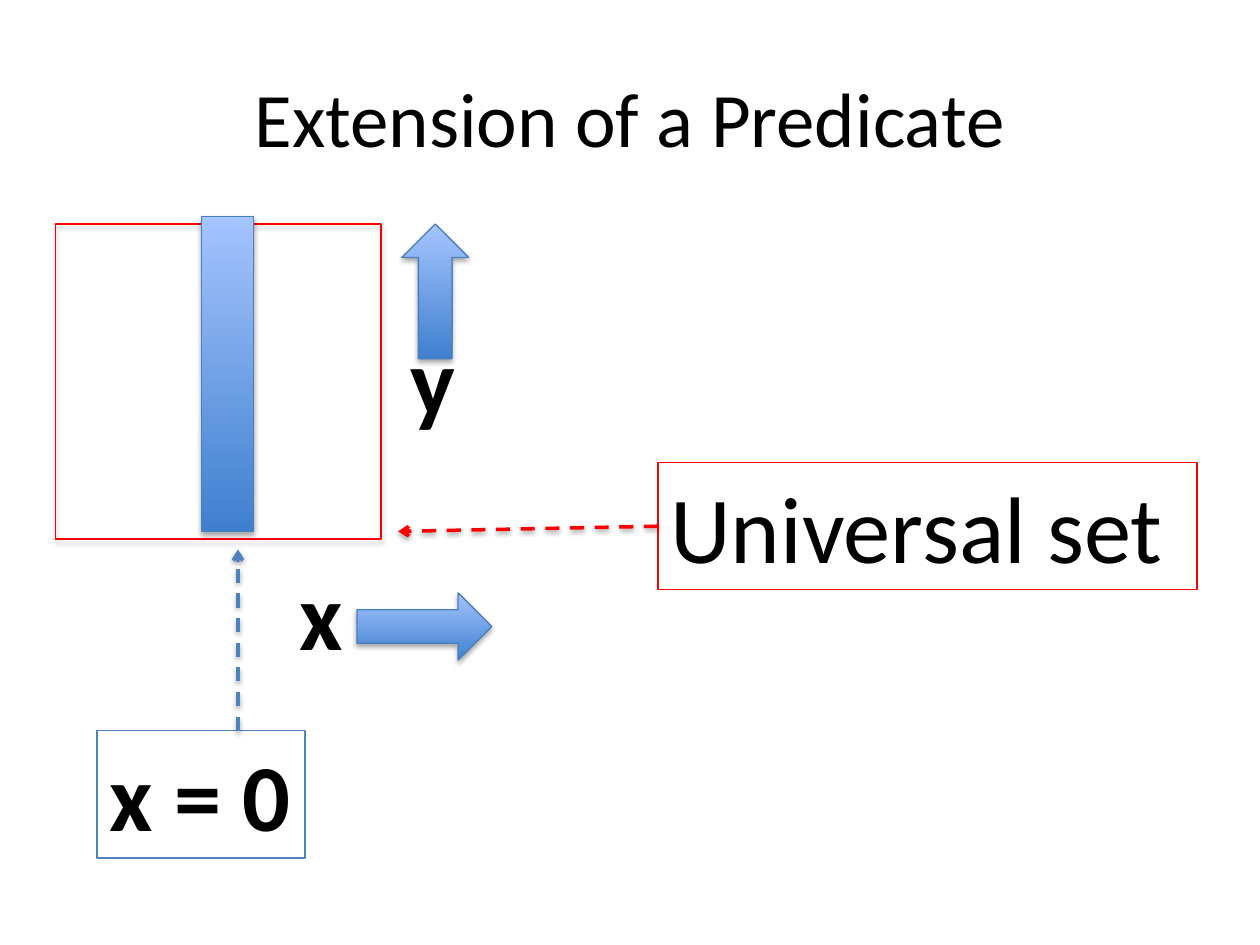
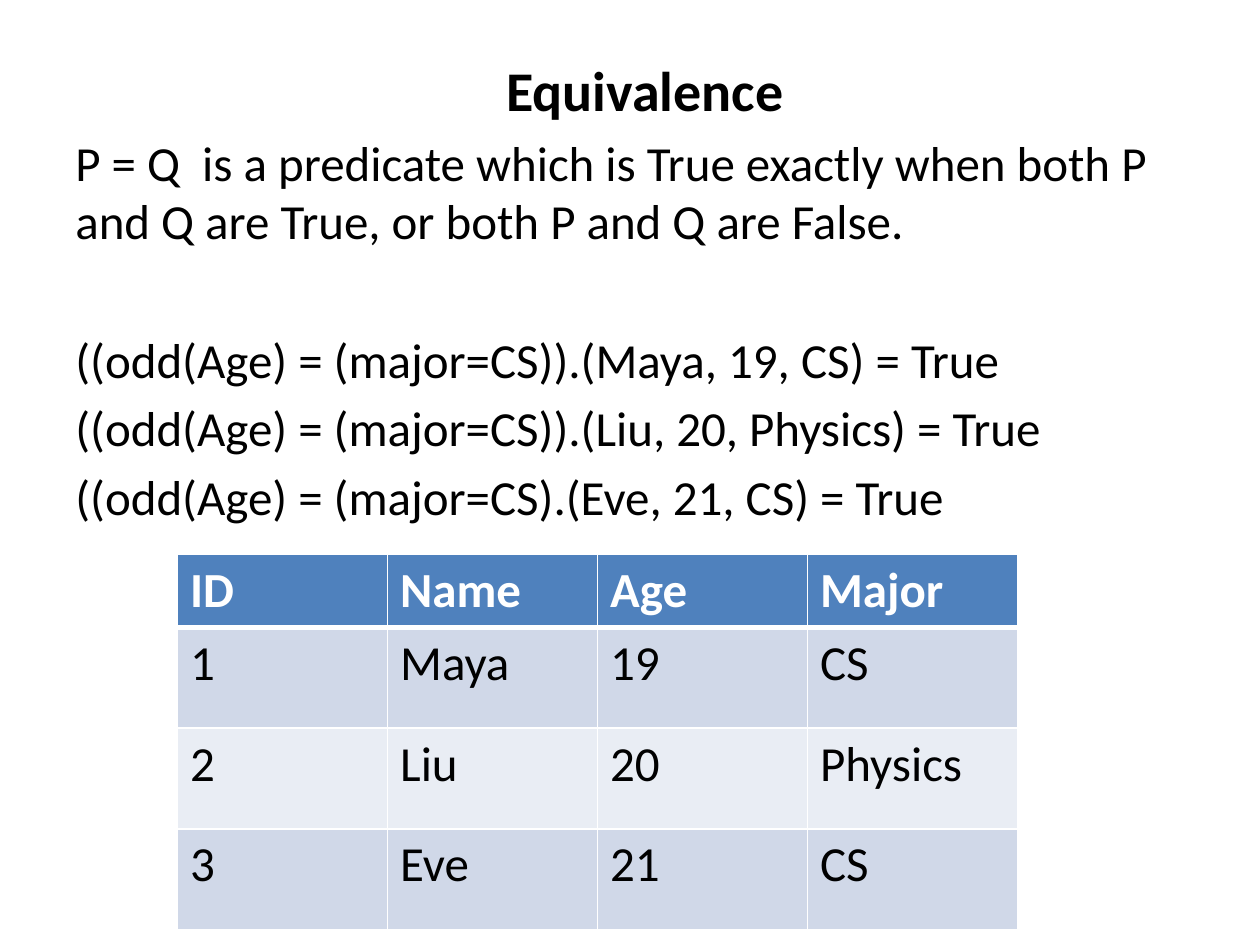
from dataclasses import dataclass
from typing import Optional

from lxml.etree import SubElement
from pptx import Presentation
from pptx.dml.color import RGBColor
from pptx.enum.dml import MSO_LINE
from pptx.enum.shapes import MSO_CONNECTOR, MSO_SHAPE
from pptx.enum.text import MSO_ANCHOR, PP_ALIGN
from pptx.oxml.ns import qn
from pptx.util import Pt

# Shared style
FONT = "Calibri"
BLACK = RGBColor(0x00, 0x00, 0x00)
WHITE = RGBColor(0xFF, 0xFF, 0xFF)
RED = RGBColor(0xFF, 0x00, 0x00)
BLUE = RGBColor(0x4F, 0x81, 0xBD)
EDGE_BLUE = RGBColor(0x4B, 0x7E, 0xBC)
DEEP_BLUE = RGBColor(0x3F, 0x80, 0xCE)
PALE_BLUE = RGBColor(0xA4, 0xC4, 0xFF)
BAND_DARK = RGBColor(0xD0, 0xD8, 0xE8)
BAND_LIGHT = RGBColor(0xE9, 0xED, 0xF4)
TITLE_ONLY = 5
LABEL_SIZE = 54
BODY_SIZE = 28
PARA_GAP = 5.6
LINE_HEIGHT = 34.2


@dataclass(frozen=True)
class Area:
    left: float
    top: float
    width: float
    height: float

    def lengths(self) -> tuple:
        return Pt(self.left), Pt(self.top), Pt(self.width), Pt(self.height)


@dataclass(frozen=True)
class Block:
    kind: MSO_SHAPE
    area: Area
    edge: RGBColor = EDGE_BLUE
    filled: bool = True


@dataclass(frozen=True)
class Label:
    text: str
    area: Area
    bold: bool = True
    frame: Optional[RGBColor] = None


@dataclass(frozen=True)
class Pointer:
    start: tuple
    end: tuple
    color: RGBColor


def add_span(para, text: str, size: float, bold: bool = False,
             color: RGBColor = BLACK) -> None:
    span = para.add_run()
    span.text = text
    span.font.name = FONT
    span.font.size = Pt(size)
    span.font.bold = bold
    span.font.color.rgb = color


def add_page(deck, title: str, area: Area, size: float, bold: bool,
             anchor: MSO_ANCHOR):
    page = deck.slides.add_slide(deck.slide_layouts[TITLE_ONLY])
    box = page.shapes.title
    box.left, box.top, box.width, box.height = area.lengths()
    box.text_frame.vertical_anchor = anchor
    para = box.text_frame.paragraphs[0]
    para.alignment = PP_ALIGN.CENTER
    add_span(para, title, size, bold)
    return page


def add_shadow(effects, distance: float, opacity: int) -> None:
    shadow = SubElement(effects, qn("a:outerShdw"), blurRad=str(Pt(3.1)),
                        dist=str(Pt(distance)), dir="5400000", rotWithShape="0")
    color = SubElement(shadow, qn("a:srgbClr"), val=str(BLACK))
    SubElement(color, qn("a:alpha"), val=str(opacity * 1000))


def draw_block(page, block: Block) -> None:
    shape = page.shapes.add_shape(block.kind, *block.area.lengths())
    if block.filled:
        shape.fill.gradient()
        shape.fill.gradient_angle = 90
        for stop, color in zip(shape.fill.gradient_stops, (DEEP_BLUE, PALE_BLUE)):
            stop.color.rgb = color
    else:
        shape.fill.background()
    shape.line.color.rgb = block.edge
    shape.line.width = Pt(0.75)
    shape.shadow.inherit = False
    add_shadow(shape._element.spPr.find(qn("a:effectLst")), 1.8, 35)


def draw_label(page, label: Label) -> None:
    box = page.shapes.add_textbox(*label.area.lengths())
    box.text_frame.word_wrap = True
    box.text_frame.margin_right = Pt(0)
    if label.frame is not None:
        box.line.color.rgb = label.frame
        box.line.width = Pt(0.75)
    add_span(box.text_frame.paragraphs[0], label.text, LABEL_SIZE, label.bold)


def draw_pointer(page, pointer: Pointer) -> None:
    ends = [Pt(value) for value in (*pointer.start, *pointer.end)]
    line = page.shapes.add_connector(MSO_CONNECTOR.STRAIGHT, *ends)
    line.line.color.rgb = pointer.color
    line.line.width = Pt(2)
    line.line.dash_style = MSO_LINE.DASH
    properties = line._element.spPr
    SubElement(properties.find(qn("a:ln")), qn("a:tailEnd"), type="arrow")
    add_shadow(SubElement(properties, qn("a:effectLst")), 1.6, 38)


def set_borders(cell, top: float, bottom: float) -> None:
    properties = cell._tc.get_or_add_tcPr()
    for side, width in (("L", 1), ("R", 1), ("T", top), ("B", bottom)):
        border = SubElement(properties, qn(f"a:ln{side}"), w=str(Pt(width)))
        fill = SubElement(border, qn("a:solidFill"))
        SubElement(fill, qn("a:srgbClr"), val=str(WHITE))


def draw_table(page, rows: list, area: Area, header_height: float) -> None:
    columns = len(rows[0])
    table = page.shapes.add_table(len(rows), columns, *area.lengths()).table
    for column in table.columns:
        column.width = Pt(area.width / columns)
    row_height = (area.height - header_height) / (len(rows) - 1)
    for index, values in enumerate(rows):
        header = index == 0
        table.rows[index].height = Pt(header_height if header else row_height)
        band = BLUE if header else BAND_DARK if index % 2 else BAND_LIGHT
        for position, value in enumerate(values):
            cell = table.cell(index, position)
            set_borders(cell, 3 if index == 1 else 1, 3 if header else 1)
            cell.fill.solid()
            cell.fill.fore_color.rgb = band
            add_span(cell.text_frame.paragraphs[0], value, BODY_SIZE, header,
                     WHITE if header else BLACK)


deck = Presentation()
deck.slide_width, deck.slide_height = Pt(720), Pt(540)

# Slide 1: the extension as a strip inside the universal set
page = add_page(deck, "Extension of a Predicate", Area(36, 21.6, 648, 90),
                44, False, MSO_ANCHOR.MIDDLE)
diagram = [
    Block(MSO_SHAPE.RECTANGLE, Area(31.8, 128, 186, 180), RED, False),
    Block(MSO_SHAPE.RECTANGLE, Area(115, 123.6, 30, 180)),
    Label("x", Area(164, 314, 39.6, 72.7)),
    Block(MSO_SHAPE.RIGHT_ARROW, Area(204, 338.8, 77, 38.4)),
    Label("y", Area(227.5, 180, 40.3, 72.7)),
    Block(MSO_SHAPE.UP_ARROW, Area(229.5, 128, 38.4, 77)),
    Label("x = 0", Area(55.5, 417.6, 118.8, 72.7), frame=BLUE),
    Pointer((136, 417.6), (136, 314), BLUE),
    Label("Universal set", Area(376, 264.2, 308, 72.7), bold=False, frame=RED),
    Pointer((376, 300.7), (227.5, 303.7), RED),
]
painters = {Block: draw_block, Label: draw_label, Pointer: draw_pointer}
for part in diagram:
    painters[type(part)](page, part)

# Slide 2: definition, examples and their data
page = add_page(deck, "Equivalence", Area(36, 28, 665.3, 44),
                32, True, MSO_ANCHOR.TOP)
body = [
    ("P = Q  is a predicate which is True exactly when both P and Q are True, "
     "or both P and Q are False.", 0),
    ("((odd(Age) = (major=CS)).(Maya, 19, CS) = True", LINE_HEIGHT + 2 * PARA_GAP),
    ("((odd(Age) = (major=CS)).(Liu, 20, Physics) = True", PARA_GAP),
    ("((odd(Age) = (major=CS).(Eve, 21, CS) = True", PARA_GAP),
]
box = page.shapes.add_textbox(*Area(36, 72, 665.3, 244.8).lengths())
frame = box.text_frame
frame.word_wrap = True
for index, (text, gap) in enumerate(body):
    para = frame.add_paragraph() if index else frame.paragraphs[0]
    para.space_before = Pt(gap)
    add_span(para, text, BODY_SIZE)

students = [
    ("ID", "Name", "Age", "Major"),
    ("1", "Maya", "19", "CS"),
    ("2", "Liu", "20", "Physics"),
    ("3", "Eve", "21", "CS"),
]
draw_table(page, students, Area(101.5, 316.8, 480, 214.5), 41.7)

deck.save("out.pptx")
